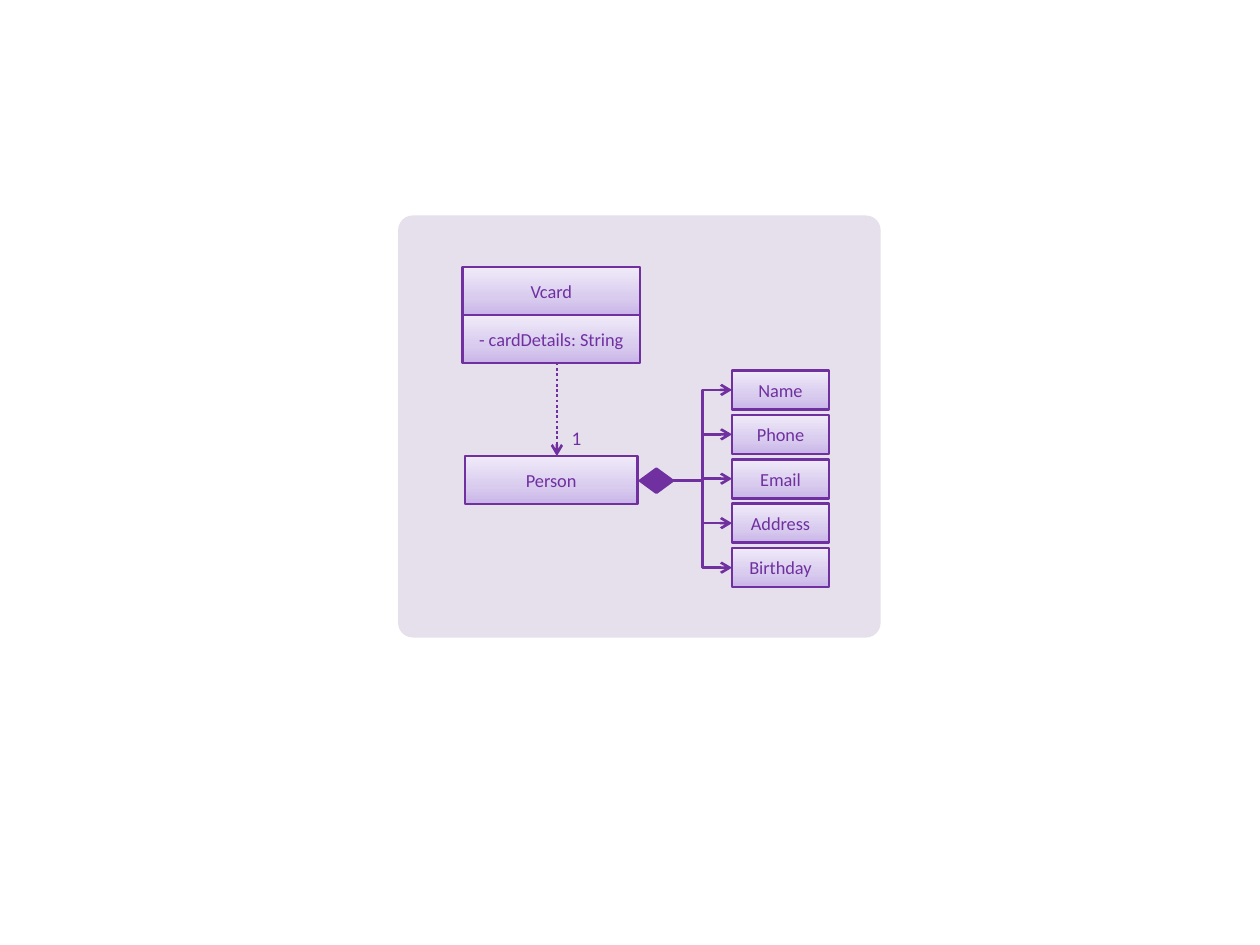
import copy
import pptx
import pptx.util
import pptx.dml.color
import pptx.enum.dml
import pptx.enum.shapes
import pptx.enum.text
import pptx.oxml.ns
from lxml import etree
from pptx.util import Inches

PURPLE = "7030A0"
PANEL = "E6E0EC"
BLEND = [(0, "C9B5E8"), (0.35, "D8CBEE"), (1, "F0EAF9")]
FONT = "Calibri"

# text, left, top, width, height
CLASSES = [
    ("Vcard", 3.67, 2.12, 1.41, 0.38),
    ("- cardDetails: String", 3.67, 2.5, 1.41, 0.38),
    ("Person", 3.69, 3.62, 1.37, 0.38),
]
FIELDS = ["Name", "Phone", "Email", "Address", "Birthday"]
LEFT, FIRST, LAST, WIDE, HIGH = 5.81, 2.94, 4.35, 0.77, 0.31

SHAPE = pptx.enum.shapes.MSO_SHAPE
LINK = pptx.enum.shapes.MSO_CONNECTOR


def color(text):
    return pptx.dml.color.RGBColor.from_string(text)


def outline(item):
    item.line.color.rgb = color(PURPLE)
    item.line.width = pptx.util.Pt(1.5)


def shape(slide, kind, fill, *place):
    item = slide.shapes.add_shape(kind, *map(Inches, place))
    item.shadow.inherit = False
    item.fill.solid()
    item.fill.fore_color.rgb = color(fill)
    return item


def write(frame, text, size):
    para = frame.paragraphs[0]
    para.alignment = pptx.enum.text.PP_ALIGN.CENTER
    run = para.add_run()
    run.text = text
    run.font.name = FONT
    run.font.size = pptx.util.Pt(size)
    run.font.color.rgb = color(PURPLE)


def blend(fill):
    """Fill from the first colour at the bottom to the last at the top."""
    fill.gradient()
    fill.gradient_angle = 90
    first = fill._fill._gradFill.gsLst[0]
    first.addnext(copy.deepcopy(first))
    for stop, (pos, tint) in zip(fill.gradient_stops, BLEND):
        stop.position = pos
        stop.color.rgb = color(tint)


def box(slide, text, *place):
    item = shape(slide, SHAPE.RECTANGLE, PANEL, *place)
    blend(item.fill)
    outline(item)
    item.text_frame.vertical_anchor = pptx.enum.text.MSO_ANCHOR.MIDDLE
    write(item.text_frame, text, 10.5)
    return item


def arrow(slide, kind, *ends, dash=None):
    item = slide.shapes.add_connector(kind, *map(Inches, ends))
    outline(item)
    if dash:
        item.line.dash_style = dash
    qn = pptx.oxml.ns.qn
    etree.SubElement(item.line._get_or_add_ln(), qn("a:tailEnd"), type="arrow")
    etree.SubElement(item._element.spPr, qn("a:effectLst"))
    return item


def main():
    deck = pptx.Presentation()
    deck.slide_width, deck.slide_height = Inches(10), Inches(7.5)
    slide = deck.slides.add_slide(deck.slide_layouts[6])

    panel = shape(slide, SHAPE.ROUNDED_RECTANGLE, PANEL, 3.16, 1.71, 3.83, 3.35)
    panel.adjustments[0] = 0.035
    panel.line.fill.background()

    for row in CLASSES:
        box(slide, *row)

    diamond = shape(slide, SHAPE.FLOWCHART_DECISION, PURPLE, 5.08, 3.72, 0.26, 0.19)
    outline(diamond)

    step = (LAST - FIRST) / (len(FIELDS) - 1)
    for i, name in enumerate(FIELDS):
        field = box(slide, name, LEFT, FIRST + i * step, WIDE, HIGH)
        link = arrow(slide, LINK.ELBOW, 5.34, 3.81, LEFT, 3.81)
        link.begin_connect(diamond, 3)
        link.end_connect(field, 1)

    arrow(slide, LINK.STRAIGHT, 4.42, 2.88, 4.42, 3.62,
          dash=pptx.enum.dml.MSO_LINE.ROUND_DOT)

    count = slide.shapes.add_textbox(*map(Inches, (4.47, 3.38, 0.21, 0.2)))
    frame = count.text_frame
    frame.word_wrap = True
    frame.margin_left = frame.margin_right = 0
    frame.margin_top = frame.margin_bottom = 0
    write(frame, "1", 11)

    deck.save("out.pptx")


if __name__ == "__main__":
    main()
